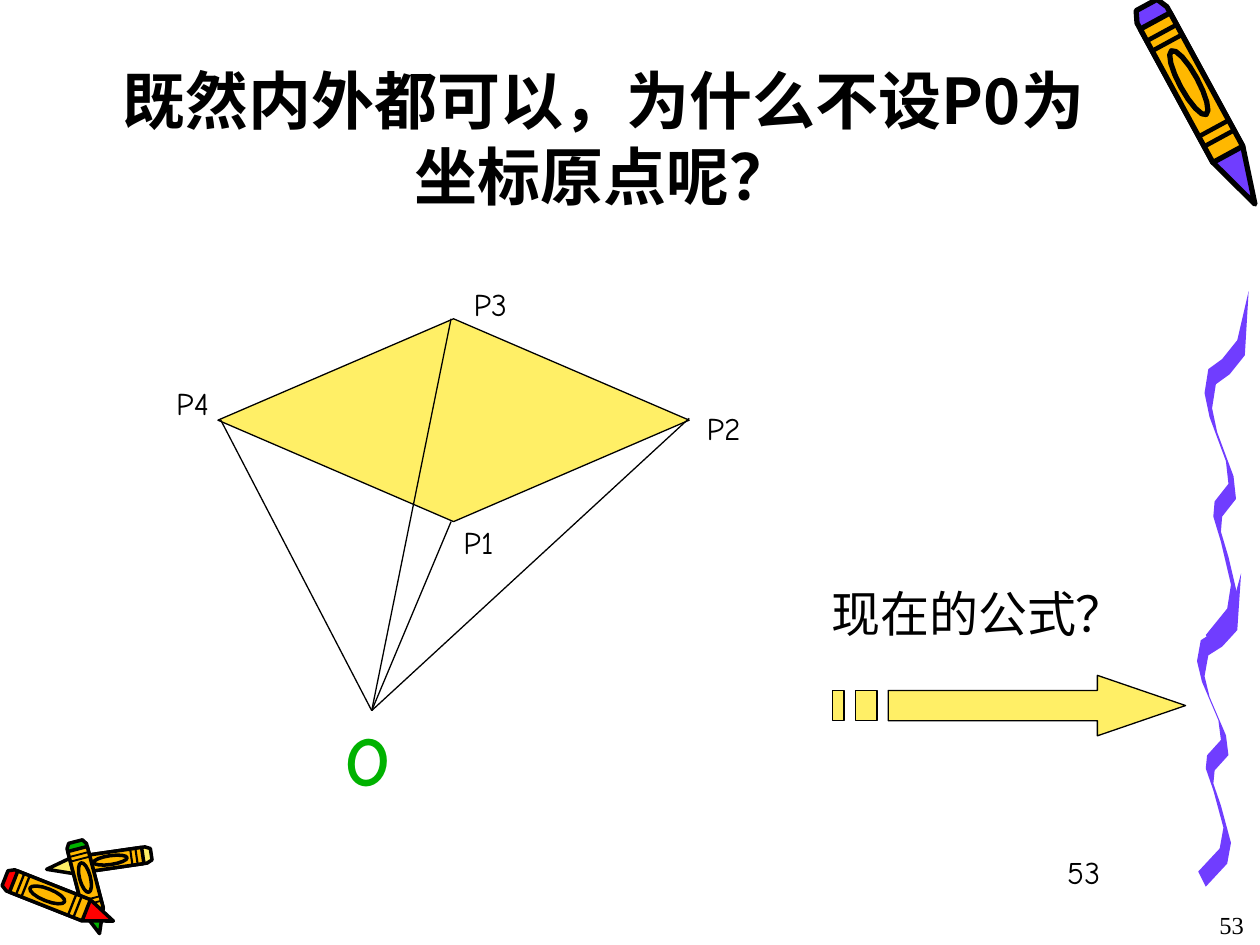
from math import cos, hypot, pi, sin

from lxml import etree
from pptx import Presentation
from pptx import util as u
from pptx.dml.color import RGBColor
from pptx.enum import shapes, text
from pptx.oxml.ns import qn

BLACK = RGBColor(0x00, 0x00, 0x00)
YELLOW = RGBColor(0xFF, 0xEF, 0x66)
GOLD = RGBColor(0xFF, 0xB8, 0x00)
RED = RGBColor(0xFF, 0x00, 0x00)
GREEN = RGBColor(0x00, 0xB2, 0x00)
VIOLET = RGBColor(0x70, 0x3D, 0xFF)
COMIC, HAN, ROMAN = "Comic Neue", "Noto Sans CJK SC", "Times New Roman"
LEFT, MID = text.PP_ALIGN.LEFT, text.PP_ALIGN.CENTER
TOP, LOW = text.MSO_ANCHOR.TOP, text.MSO_ANCHOR.BOTTOM

WAVE = ((-0.06, 0.45), (-0.18, 0.6), (-0.29, 0.68), (-0.32, 0.87), (-0.28, 1.06),
        (-0.15, 1.41), (-0.13, 1.59), (-0.24, 1.73), (-0.25, 1.85), (-0.19, 2.05),
        (-0.11, 2.39), (-0.14, 2.58), (-0.31, 2.79))


def block(x1, x2, y1, y2):
    return [(x1, y1), (x2, y1), (x2, y2), (x1, y2)]


def oval(mid, long, wide, steps=16):
    turns = [2 * pi * n / steps for n in range(steps)]
    return [(mid + long * cos(a), wide * sin(a)) for a in turns]


class Deck:
    def __init__(self):
        self.prs = Presentation()
        self.prs.slide_width, self.prs.slide_height = u.Inches(10), u.Inches(7.5)
        self.slide = self.prs.slides.add_slide(self.prs.slide_layouts[6])
        self.items = self.slide.shapes

    def paint(self, shape, fill, edge):
        shape.shadow.inherit = False
        shape.fill.solid()
        shape.fill.fore_color.rgb = fill
        if edge:
            shape.line.color.rgb = BLACK
            shape.line.width = u.Pt(edge)
        else:
            shape.line.fill.background()

    def free(self, fill, *rings, edge=0):
        pen = None
        for ring in rings:
            first, *rest = [(u.Inches(x), u.Inches(y)) for x, y in ring]
            if pen:
                pen.move_to(*first)
            else:
                pen = self.items.build_freeform(*first)
            pen.add_line_segments(rest, close=True)
        self.paint(pen.convert_to_shape(), fill, edge)

    def crayon(self, tail, tip, width, color, edge):
        dx, dy = tip[0] - tail[0], tip[1] - tail[1]
        size = hypot(dx, dy)

        def place(ring):
            return [(tail[0] + along * dx + side * width * dy / size,
                     tail[1] + along * dy - side * width * dx / size)
                    for along, side in ring]

        hull = [(0, -0.35), (0.05, -0.5), (0.75, -0.5), (1, 0),
                (0.75, 0.5), (0.05, 0.5), (0, 0.35)]
        self.free(color, place(hull), edge=edge)
        self.free(GOLD, place(block(0.08, 0.75, -0.5, 0.5)), edge=edge)
        for band in (0.13, 0.18, 0.61, 0.66):
            self.free(BLACK, place(block(band, band + 0.02, -0.5, 0.5)))
        self.free(GOLD, place(oval(0.39, 0.16, 0.27)), edge=edge)

    def ribbon(self, start, stretch, nib=(0.03, 0.06)):
        spine = [(start[0] + x, start[1] + y * stretch) for x, y in WAVE]
        near = [(x - nib[0], y - nib[1]) for x, y in spine]
        far = [(x + nib[0], y + nib[1]) for x, y in spine]
        self.free(VIOLET, [start, *near, *reversed(far)])

    def arrow(self, bars, tip, mid, half):
        *marks, (left, neck) = bars
        head = [(neck, mid - half), (neck, mid - 2 * half), (tip, mid),
                (neck, mid + 2 * half), (neck, mid + half)]
        shaft = [(left, mid - half), *head, (left, mid + half)]
        rings = [block(*mark, mid - half, mid + half) for mark in marks]
        self.free(YELLOW, shaft, *rings, edge=0.75)

    def diamond(self, box, fill):
        shape = self.items.add_shape(shapes.MSO_SHAPE.DIAMOND, *map(u.Inches, box))
        self.paint(shape, fill, 0.75)

    def line(self, start, end, width=0.75):
        ends = map(u.Inches, (*start, *end))
        line = self.items.add_connector(shapes.MSO_CONNECTOR.STRAIGHT, *ends)
        line.line.color.rgb = BLACK
        line.line.width = u.Pt(width)
        etree.SubElement(line._element.spPr, qn("a:effectLst"))

    def text(self, box, words, size, font=COMIC, color=BLACK, bold=False,
             align=LEFT, anchor=TOP, before=0, inset=0.1):
        frame = self.items.add_textbox(*map(u.Inches, box)).text_frame
        frame.word_wrap = True
        frame.vertical_anchor = anchor
        frame.margin_left = u.Inches(inset)
        frame.text = words
        para = frame.paragraphs[0]
        para.alignment = align
        para.space_before = u.Pt(before)
        for run in para.runs:
            run.font.name, run.font.size, run.font.bold = font, u.Pt(size), bold
            run.font.color.rgb = color
            east = etree.SubElement(run.font._element, qn("a:ea"))
            east.set("typeface", HAN)


def decor(deck):
    deck.crayon(tail=(1.2, 6.78), tip=(0.37, 6.9), width=0.13, color=YELLOW, edge=2)
    deck.crayon(tail=(0.6, 6.68), tip=(0.79, 7.41), width=0.16, color=GREEN, edge=2)
    deck.crayon(tail=(0.04, 6.97), tip=(0.9, 7.31), width=0.18, color=RED, edge=2)
    deck.ribbon(start=(9.85, 4.55), stretch=0.87)
    deck.ribbon(start=(9.91, 2.31), stretch=1)
    deck.crayon(tail=(9.1, 0.04), tip=(9.96, 1.62), width=0.27, color=VIOLET, edge=3)


def pyramid(deck):
    deck.diamond((1.73, 2.53, 3.74, 1.61), YELLOW)
    base = (2.95, 5.64)
    corners = {
        "P1": ((3.58, 4.14), (3.58, 4.1)),
        "P2": ((5.47, 3.32), (5.51, 3.2)),
        "P3": ((3.58, 2.53), (3.66, 2.21)),
        "P4": ((1.75, 3.33), (1.3, 3)),
    }
    for name, (corner, spot) in corners.items():
        deck.line(base, corner)
        deck.text((*spot, 0.59, 0.4), name, 18, before=11.2)
    deck.text((2.64, 5.64, 0.59, 0.77), "O", 40, color=GREEN, bold=True, before=25)


def main():
    deck = Deck()
    decor(deck)
    deck.text((9.58, 7.17, 0.5, 0.34), "53", 14, ROMAN)
    deck.text((7.87, 6.72, 2.08, 0.42), "53", 18, inset=0.6)
    deck.text((0.75, 0.99, 8.08, 0.75), "既然内外都可以，为什么不设P0为坐标原点呢？", 36, HAN,
              bold=True, align=MID, anchor=LOW)
    pyramid(deck)
    deck.text((6.5, 4.58, 2.8, 0.57), "现在的公式？", 28, before=17.5)
    deck.arrow(bars=((6.61, 6.7), (6.79, 6.96), (7.05, 8.71)), tip=9.41, mid=5.6, half=0.12)
    deck.prs.save("out.pptx")


if __name__ == "__main__":
    main()
